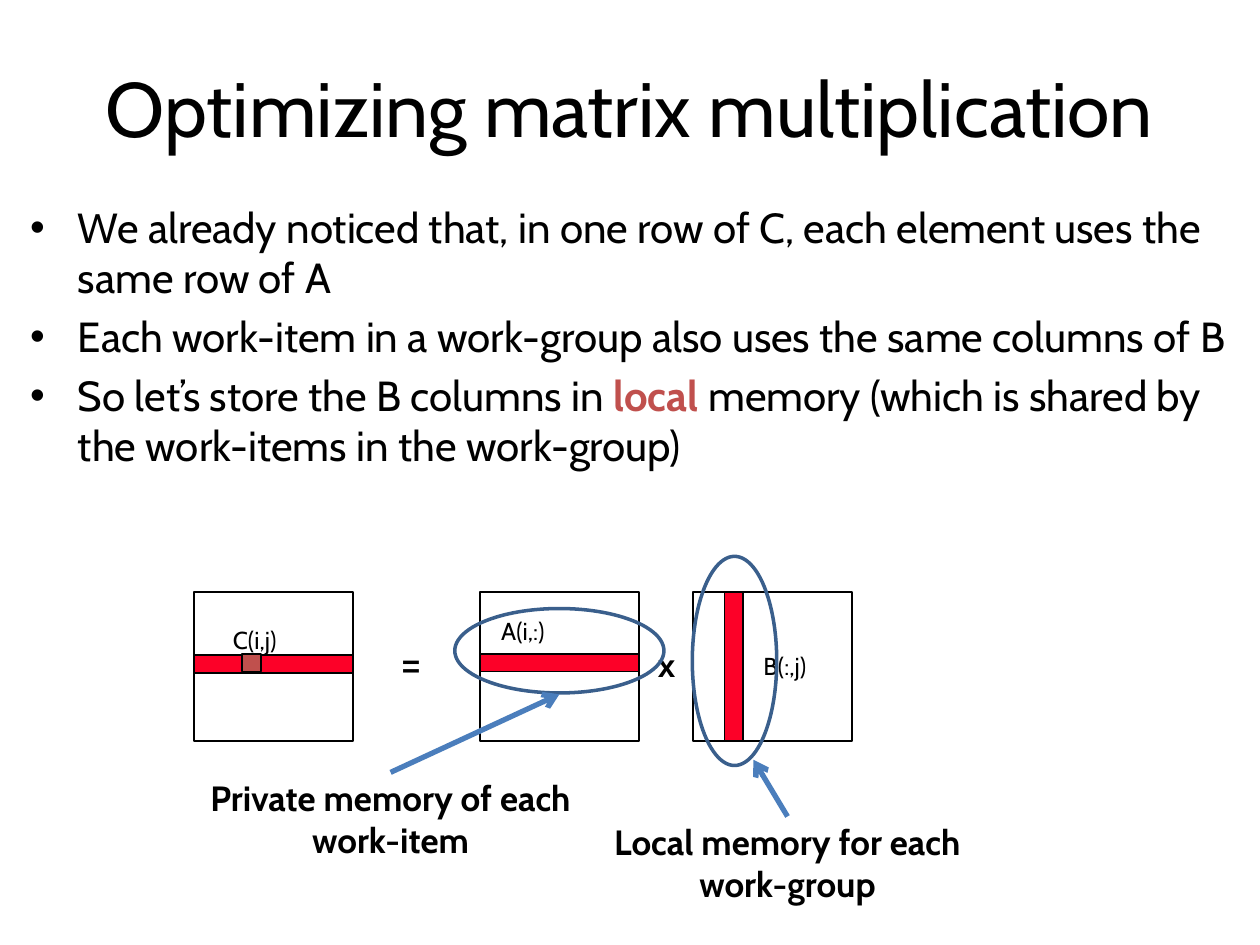
"""Build the slide on optimizing matrix multiplication with local memory."""
from typing import NamedTuple, Optional

from lxml import etree
from pptx import Presentation
from pptx import util as u
from pptx.dml.color import RGBColor
from pptx.enum import shapes, text
from pptx.oxml.ns import qn

COLORS = {
    "ink": "000000",
    "band": "FC0128",
    "accent": "C0504D",
    "ring": "3A5F8C",
    "arrow": "4B7EBC",
}
MATRIX_W, MATRIX_H, MATRIX_TOP, BAND = 1.26, 1.18, 4.7, 0.14
C_LEFT, A_LEFT, B_LEFT = 1.54, 3.81, 5.5
RING_W, RING_H = 1.66, 0.67


class Box(NamedTuple):
    """Position and size in inches."""
    left: float
    top: float
    width: float
    height: float


class Run(NamedTuple):
    """A piece of text in one format."""
    words: str
    bold: bool = False
    color: str = "ink"


class Label(NamedTuple):
    """A short text with its place and format."""
    words: str
    box: Box
    size: int
    font: str = "Cabin"
    bold: bool = False
    centered: bool = False
    spacing: Optional[float] = None


def rgb(name: str) -> RGBColor:
    """Look a colour up by name."""
    return RGBColor.from_string(COLORS[name])


def place(box: Box) -> list:
    """Turn a box into lengths."""
    return [u.Inches(value) for value in box]


def add_run(paragraph, run: Run, size: int, font: str = "Cabin") -> None:
    """Append one formatted run."""
    piece = paragraph.add_run()
    piece.text = run.words
    formats = {"size": u.Pt(size), "name": font, "bold": run.bold}
    for key, value in formats.items():
        setattr(piece.font, key, value)
    piece.font.color.rgb = rgb(run.color)


def add_frame(slide, box: Box):
    """Add a wrapping text box."""
    holder = slide.shapes.add_textbox(*place(box))
    holder.text_frame.word_wrap = True
    return holder


def add_label(slide, label: Label):
    """Add a one-paragraph text."""
    holder = add_frame(slide, label.box)
    paragraph = holder.text_frame.paragraphs[0]
    if label.centered:
        paragraph.alignment = text.PP_ALIGN.CENTER
    paragraph.line_spacing = label.spacing
    add_run(paragraph, Run(label.words, label.bold), label.size, label.font)
    return holder


def add_bullets(slide, box: Box, points: list[list[Run]], size: int) -> None:
    """Add a bulleted list with hanging indents."""
    frame = add_frame(slide, box).text_frame
    for index, runs in enumerate(points):
        paragraph = frame.add_paragraph() if index else frame.paragraphs[0]
        properties = paragraph._p.get_or_add_pPr()
        properties.set("marL", str(u.Inches(0.38)))
        properties.set("indent", str(u.Inches(-0.38)))
        etree.SubElement(properties, qn("a:buFont")).set("typeface", "Arial")
        etree.SubElement(properties, qn("a:buChar")).set("char", "•")
        if index:
            paragraph.space_before = u.Pt(0.2 * size)
        for run in runs:
            add_run(paragraph, run, size)


def add_outline(slide, kind, box: Box, line: str, width: float,
                fill: Optional[str] = None, rotation: float = 0) -> None:
    """Add an outlined shape, filled if a colour is named."""
    outline = slide.shapes.add_shape(kind, *place(box))
    outline.shadow.inherit = False
    outline.rotation = rotation
    outline.line.color.rgb = rgb(line)
    outline.line.width = u.Pt(width)
    if fill:
        outline.fill.solid()
        outline.fill.fore_color.rgb = rgb(fill)
    else:
        outline.fill.background()


def add_block(slide, box: Box, fill: Optional[str] = None) -> None:
    """Add a matrix or a part of one."""
    add_outline(slide, shapes.MSO_SHAPE.RECTANGLE, box, "ink", 1, fill)


def add_ring(slide, left: float, top: float, rotation: float = 0) -> None:
    """Add an ellipse around a matrix part."""
    add_outline(slide, shapes.MSO_SHAPE.OVAL, Box(left, top, RING_W, RING_H),
                "ring", 2, rotation=rotation)


def add_arrow(slide, caption, x: float, y: float) -> None:
    """Point from the top of a caption to a place."""
    arrow = slide.shapes.add_connector(
        shapes.MSO_CONNECTOR.STRAIGHT, caption.left, caption.top,
        u.Inches(x), u.Inches(y))
    arrow.begin_connect(caption, 0)
    arrow.line.color.rgb = rgb("arrow")
    arrow.line.width = u.Pt(3)
    etree.SubElement(arrow.line._get_or_add_ln(), qn("a:tailEnd")).set("type", "arrow")
    etree.SubElement(arrow._element.spPr, qn("a:effectLst"))


def main() -> None:
    """Draw the slide and save it."""
    deck = Presentation()
    deck.slide_width, deck.slide_height = u.Inches(10), u.Inches(7.5)
    slide = deck.slides.add_slide(deck.slide_layouts[6])

    title = add_label(slide, Label("Optimizing matrix multiplication",
                                   Box(0.12, 0.22, 9.76, 1.25), 44, centered=True))
    title.text_frame.vertical_anchor = text.MSO_ANCHOR.MIDDLE
    add_bullets(slide, Box(0.14, 1.55, 9.69, 2.68), [
        [Run("We already noticed that, in one row of C, each element uses the same row of A")],
        [Run("Each work-item in a work-group also uses the same columns of B")],
        [Run("So let’s store the B columns in "),
         Run("local ", True, "accent"),
         Run("memory (which is shared by the work-items in the work-group)")],
    ], 24)

    for left in (C_LEFT, A_LEFT, B_LEFT):
        add_block(slide, Box(left, MATRIX_TOP, MATRIX_W, MATRIX_H))
    for label in (
        Label("=", Box(3.09, 5.08, 0.59, 0.5), 18, "Arial", True),
        Label("x", Box(5.14, 5.08, 0.18, 0.5), 18, "Arial", True),
        Label("A(i,:)", Box(3.88, 4.84, 0.74, 0.34), 14),
        Label("B(:,j)", Box(5.96, 5.12, 0.74, 0.34), 14),
        Label("C(i,j)", Box(1.75, 4.91, 0.74, 0.34), 14),
    ):
        add_label(slide, label)

    for box, fill in (
        (Box(A_LEFT, 5.19, MATRIX_W, BAND), "band"),
        (Box(B_LEFT + 0.25, MATRIX_TOP, 0.15, MATRIX_H), "band"),
        (Box(C_LEFT, 5.2, MATRIX_W, BAND), "band"),
        (Box(C_LEFT + 0.38, 5.19, 0.15, BAND), "accent"),
    ):
        add_block(slide, box, fill)
    add_ring(slide, 3.61, 4.83)
    add_ring(slide, 5, 4.91, rotation=270)

    for words, left, top, x, y in (
        ("Private memory of each work-item", 1.3, 6.13, 4.44, 5.51),
        ("Local memory for each work-group", 4.45, 6.48, 5.98, 6.03),
    ):
        caption = add_label(slide, Label(words, Box(left, top, 3.6, 0.77), 20,
                                         bold=True, centered=True, spacing=0.99))
        add_arrow(slide, caption, x, y)

    deck.save("out.pptx")


if __name__ == "__main__":
    main()
